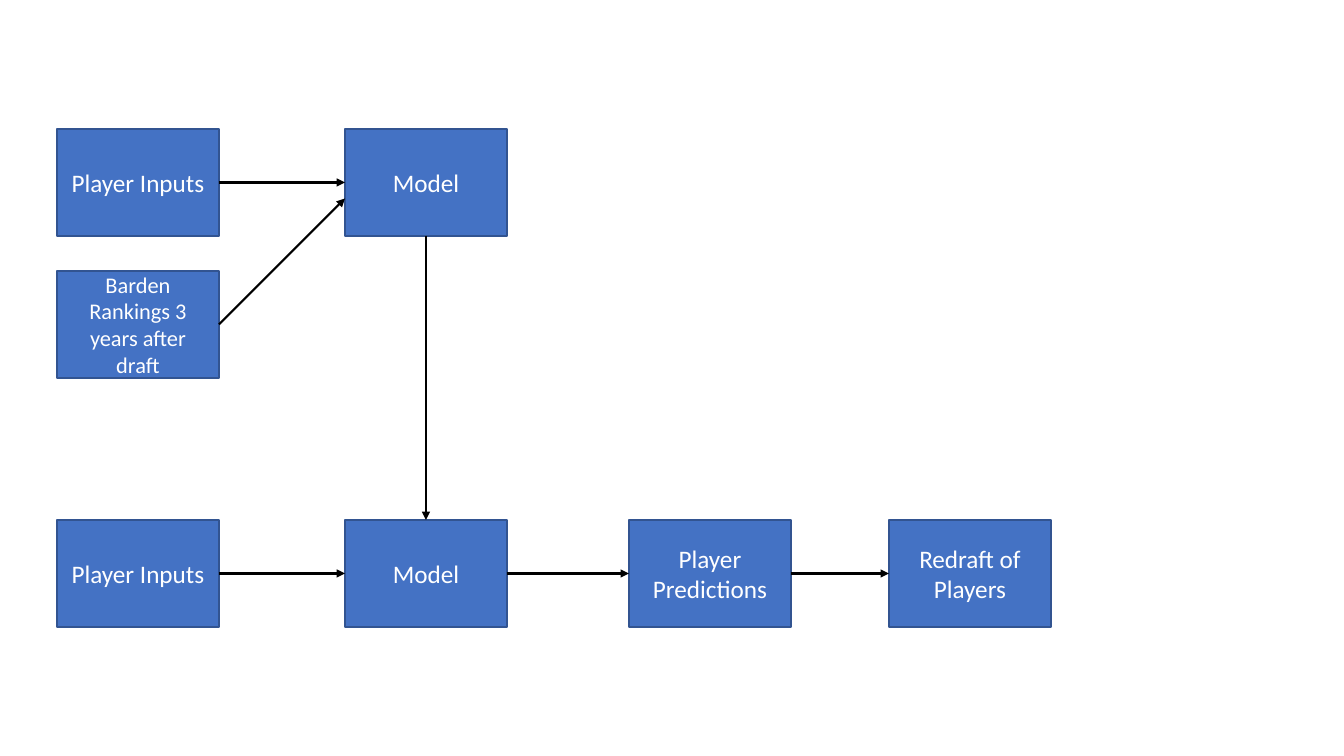
from dataclasses import dataclass

from lxml import etree
from pptx import Presentation
from pptx import util as u
from pptx.dml.color import RGBColor
from pptx.enum import shapes, text
from pptx.oxml.ns import qn

SCALE = 914400 / 100.8  # EMU per pixel
STEP_W, STEP_H = 162, 107
TOP, LEFT, BOTTOM, RIGHT = range(4)  # connection sites of a rectangle


@dataclass(frozen=True)
class Theme:
    font: str = "Calibri"
    fill: RGBColor = RGBColor(0x44, 0x72, 0xC4)
    border: RGBColor = RGBColor(0x32, 0x54, 0x91)
    label: RGBColor = RGBColor(0xFF, 0xFF, 0xFF)
    arrow: RGBColor = RGBColor(0, 0, 0)
    label_size: int = 18
    small_size: int = 16
    border_width: float = 1
    arrow_width: float = 1.5


THEME = Theme()


def px(value):
    return u.Emu(round(value * SCALE))


def add_step(slide, x, y, label, size=THEME.label_size):
    step = slide.shapes.add_shape(
        shapes.MSO_SHAPE.RECTANGLE, px(x), px(y), px(STEP_W), px(STEP_H))
    step.shadow.inherit = False
    step.fill.solid()
    step.fill.fore_color.rgb = THEME.fill
    step.line.color.rgb = THEME.border
    step.line.width = u.Pt(THEME.border_width)
    frame = step.text_frame
    frame.word_wrap = True
    frame.vertical_anchor = text.MSO_ANCHOR.MIDDLE
    frame.text = label
    paragraph = frame.paragraphs[0]
    paragraph.alignment = text.PP_ALIGN.CENTER
    paragraph.font.name = THEME.font
    paragraph.font.size = u.Pt(size)
    paragraph.font.color.rgb = THEME.label
    return step


def add_arrow(slide, source, target, source_site=RIGHT, target_site=LEFT, drop=0):
    """Join two steps; drop moves the arrowhead below its connection site."""
    arrow = slide.shapes.add_connector(shapes.MSO_CONNECTOR.STRAIGHT, 0, 0, 0, 0)
    arrow.begin_connect(source, source_site)
    if drop:
        arrow.end_x = target.left
        arrow.end_y = target.top + target.height // 2 + px(drop)
    else:
        arrow.end_connect(target, target_site)
    arrow.line.color.rgb = THEME.arrow
    arrow.line.width = u.Pt(THEME.arrow_width)
    etree.SubElement(arrow.line._get_or_add_ln(), qn("a:tailEnd"), type="triangle")
    etree.SubElement(arrow._element.spPr, qn("a:effectLst"))


def add_training(slide, x, y):
    """Two inputs feed the model."""
    inputs = add_step(slide, x, y, "Player Inputs")
    rankings = add_step(slide, x, y + 142, "Barden Rankings 3 years after draft",
                        THEME.small_size)
    model = add_step(slide, x + 288, y, "Model")
    add_arrow(slide, inputs, model)
    add_arrow(slide, rankings, model, drop=16)
    return model


def add_prediction(slide, x, y):
    """A chain of steps from inputs to the redraft."""
    chain = ((0, "Player Inputs"), (288, "Model"),
             (572, "Player Predictions"), (832, "Redraft of Players"))
    steps = [add_step(slide, x + offset, y, label) for offset, label in chain]
    for source, target in zip(steps, steps[1:]):
        add_arrow(slide, source, target)
    return steps[1]


def main():
    deck = Presentation()
    deck.slide_width, deck.slide_height = px(1344), px(756)
    slide = deck.slides.add_slide(deck.slide_layouts[6])

    # Training above, prediction below, joined by the trained model
    trained_model = add_training(slide, 57, 129)
    applied_model = add_prediction(slide, 57, 520)
    add_arrow(slide, trained_model, applied_model, BOTTOM, TOP)

    deck.save("out.pptx")


main()
